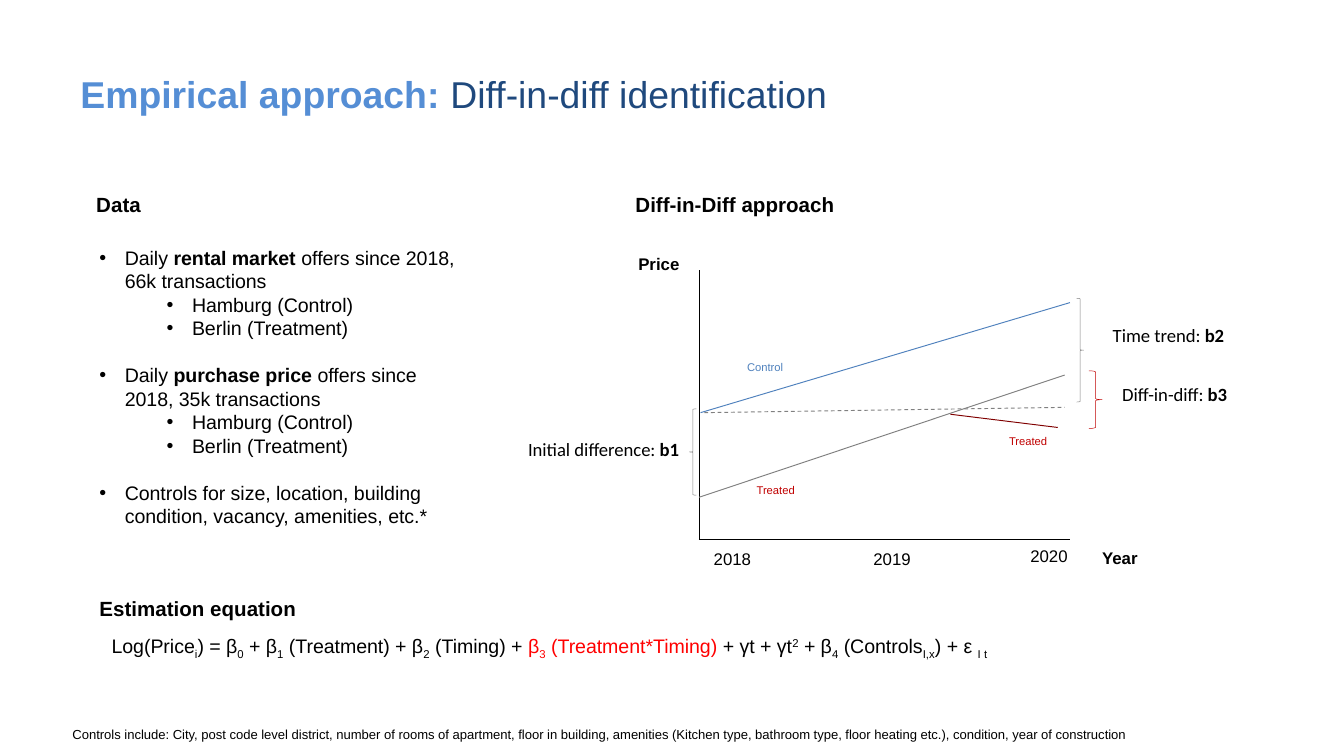
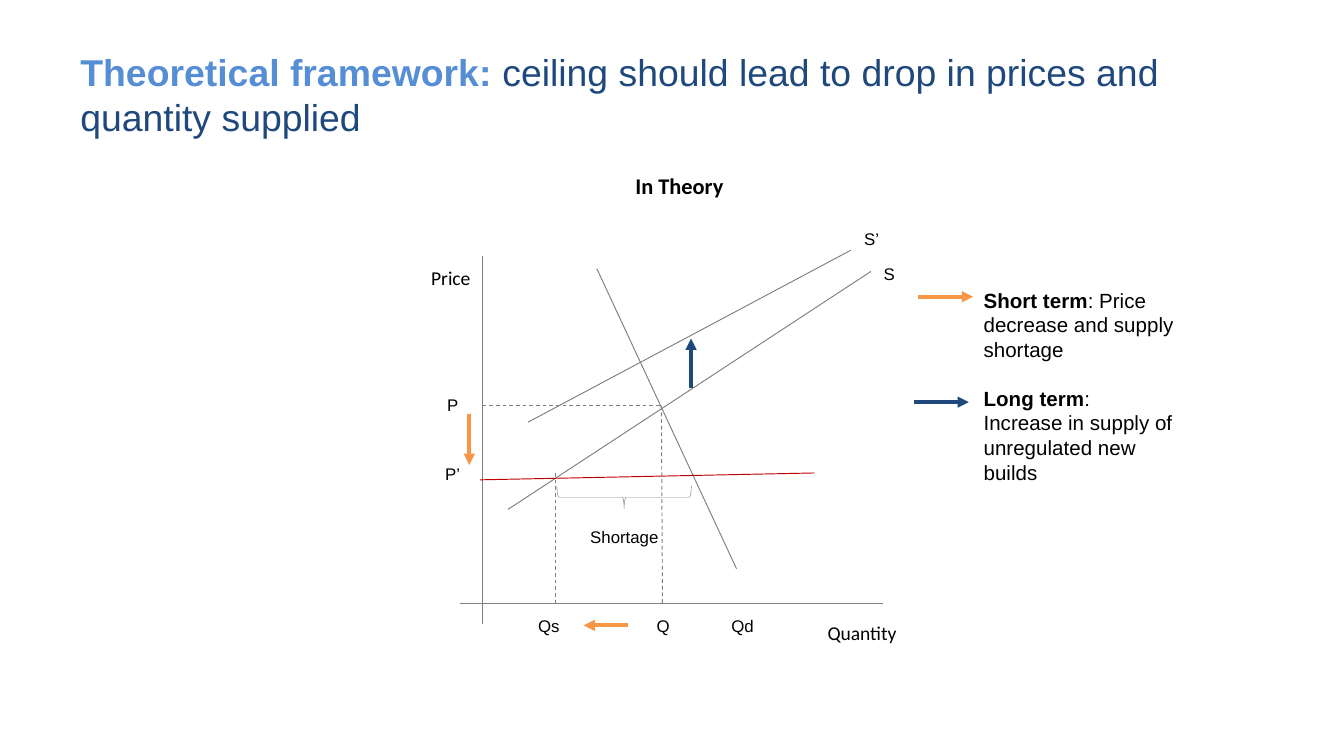
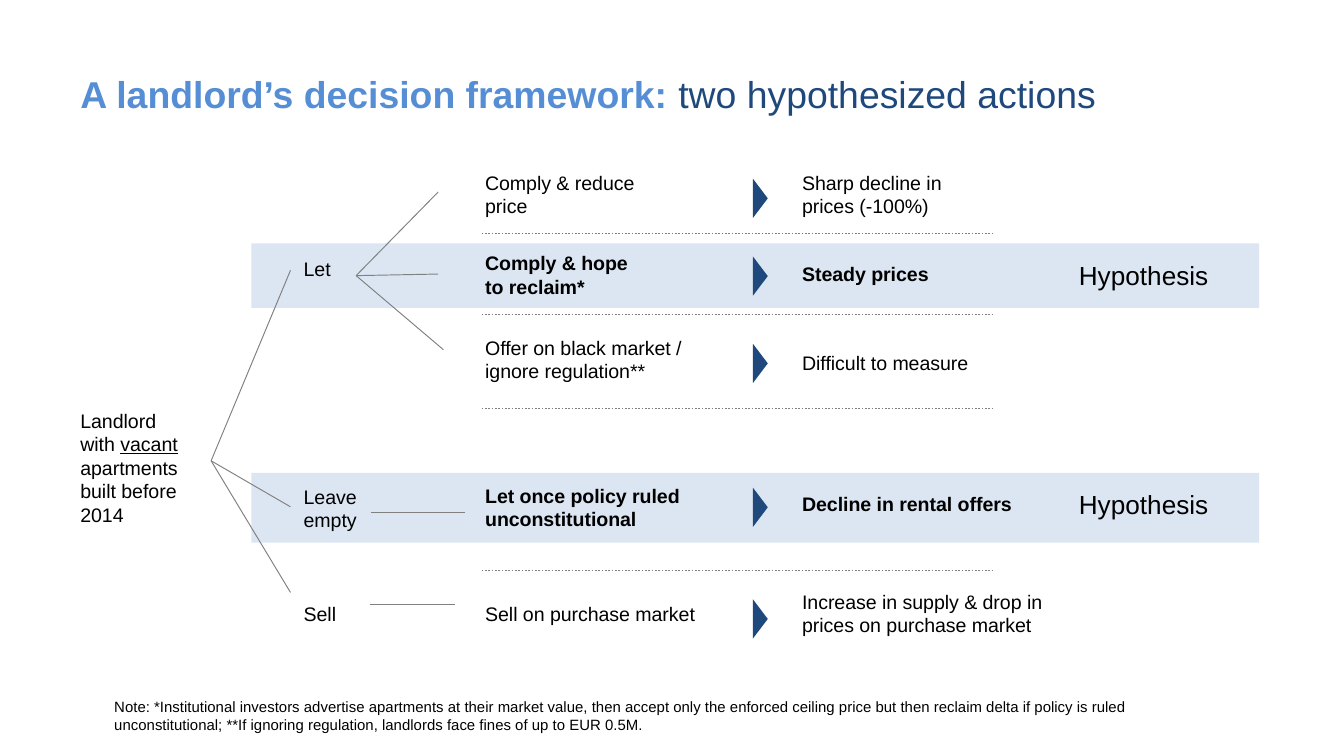
"""Builds three slides on a rent ceiling: estimation, theory and landlord choices."""
from lxml import etree
from pptx import Presentation
from pptx import util as u
from pptx.dml.color import RGBColor
from pptx.enum import dml, shapes, text
from pptx.oxml import ns

HUES = {"ink": "000000", "sky": "558ED5", "navy": "1F497D", "blue": "4F81BD",
        "grey": "808080", "wine": "800000", "red": "C00000", "hot": "FF0000",
        "gold": "F79646", "pale": "DCE6F2"}
SIDES = {"l": text.PP_ALIGN.LEFT, "c": text.PP_ALIGN.CENTER, "r": text.PP_ALIGN.RIGHT}
BASES = {"-": "-25000", "+": "30000"}
KIND = shapes.MSO_SHAPE


def hue(name):
    return RGBColor.from_string(HUES[name])


def mark(run, marks):
    font = run.font
    for sign in marks:
        if sign == "b":
            font.bold = True
        elif sign == "u":
            font.underline = True
        elif sign == "h":
            font.color.rgb = hue("hot")
        elif sign == "s":
            font.color.rgb = hue("sky")
        else:
            run._r.get_or_add_rPr().set("baseline", BASES[sign])


def say(slide, box, x, y, w, paras, size=10.5, h=0.7, tone="ink", face="Arial",
        bold=False, side="l", fit=True):
    area = slide.shapes.add_textbox(u.Cm(box[0] + x), u.Cm(box[1] + y), u.Cm(w), u.Cm(h))
    frame = area.text_frame
    frame.word_wrap = True
    if fit:
        frame.auto_size = text.MSO_AUTO_SIZE.SHAPE_TO_FIT_TEXT
    for i, runs in enumerate([paras] if isinstance(paras, str) else paras):
        para = frame.add_paragraph() if i else frame.paragraphs[0]
        para.alignment = SIDES[side]
        font = para.font
        font.size, font.name, font.bold = u.Pt(size), face, bold
        font.color.rgb = hue(tone)
        for item in [runs] if isinstance(runs, str) else runs:
            words, marks = (item, "") if isinstance(item, str) else item
            run = para.add_run()
            run.text = words
            mark(run, marks)
    return frame


def rule(slide, box, x1, y1, x2, y2, tone="grey", wide=0.5, dash=False, tip=False):
    x, y = box[:2]
    line = slide.shapes.add_connector(shapes.MSO_CONNECTOR.STRAIGHT, u.Cm(x + x1),
                                      u.Cm(y + y1), u.Cm(x + x2), u.Cm(y + y2))
    line.line.color.rgb = hue(tone)
    line.line.width = u.Pt(wide)
    if dash:
        line.line.dash_style = dml.MSO_LINE.DASH
    if tip:
        etree.SubElement(line.line._get_or_add_ln(), ns.qn("a:tailEnd"), type="triangle")
    etree.SubElement(line._element.spPr, ns.qn("a:effectLst"))


def arrow(slide, box, x1, y1, x2, y2, tone="gold"):
    rule(slide, box, x1, y1, x2, y2, tone, 2, tip=True)


def form(slide, box, kind, x, y, w, h, fill=None, tone=None, turn=0):
    item = slide.shapes.add_shape(kind, u.Cm(box[0] + x), u.Cm(box[1] + y), u.Cm(w), u.Cm(h))
    item.shadow.inherit = False
    item.rotation = turn
    if fill:
        item.fill.solid()
        item.fill.fore_color.rgb = hue(fill)
    else:
        item.fill.background()
    if tone:
        item.line.color.rgb = hue(tone)
        item.line.width = u.Pt(0.25)
    else:
        item.line.fill.background()


def head(slide, lead, rest, box=(1.27, 0.58, 22.86, 2.39)):
    frame = say(slide, box, 0, 0, box[2], [[(lead, "bs"), rest]], 20, box[3], "navy", fit=False)
    frame.vertical_anchor = text.MSO_ANCHOR.MIDDLE


def note(slide, box, words, size):
    say(slide, box, 0, 0, box[2], words, size, box[3])


def facts(slide, box):
    say(slide, box, 0, 0, 8.23, "Data", 11, bold=True)
    towns = ["Hamburg (Control)", "Berlin (Treatment)"]
    frame = say(slide, box, 0.06, 1.01, box[2], [
        ["Daily ", ("rental market ", "b"), "offers since 2018, 66k transactions"], *towns,
        ["Daily ", ("purchase price", "b"), " offers since 2018, 35k transactions"], *towns,
        "Controls for size, location, building condition, vacancy, amenities, etc.*"], h=6.1)
    for i, para in enumerate(frame.paragraphs):
        sub = para.text in towns
        prop = para._p.get_or_add_pPr()
        prop.set("marL", str(u.Cm(1.75 if sub else 0.48)))
        prop.set("indent", str(u.Cm(-0.48)))
        for tag, key, value in (("buChar", "char", "•"), ("buFont", "typeface", "Arial")):
            node = etree.Element(ns.qn("a:" + tag))
            node.set(key, value)
            prop.insert(0, node)
        if sub:
            para.level = 1
        elif i:
            para.space_before = u.Pt(12.6)


def model(slide, box):
    say(slide, box, 0, 0, 8.23, "Estimation equation", 11, bold=True)
    say(slide, box, 0.23, 0.71, box[2], [[
        "Log(Price", ("i", "-"), ") = β", ("0", "-"), " + β", ("1", "-"),
        " (Treatment) + β", ("2", "-"), " (Timing) + ", ("β", "h"), ("3", "h-"),
        (" (Treatment*Timing) ", "h"), "+ γt + γt", ("2", "+"), " + β", ("4", "-"),
        " (Controls", ("I,x", "-"), ") + ε ", ("I t", "-")]])


def trend(slide, box):
    w, h = box[2:]
    say(slide, box, -1.45, -1.6, 10.8, "Diff-in-Diff approach", 11, bold=True)
    for ends, tone in (((0, h, w, h), "ink"), ((0, h, 0, 0), "ink"),
                       ((0.03, 2.69, w, 0.61), "blue"), ((0, 4.29, 6.91, 1.98), "grey"),
                       ((4.75, 2.72, 6.78, 2.97), "wine")):
        rule(slide, box, *ends, tone)
    rule(slide, box, 0.1, 2.69, 6.91, 2.59, dash=True)
    for x, y, wide, words, side in ((-2.74, -0.43, 2.62, "Price", "r"),
                                    (0.03, 5.13, 2.62, "2018", "l"),
                                    (2.34, 5.13, 2.62, "2019", "c"),
                                    (5.94, 5.08, 1.35, "2020", "c"),
                                    (5.92, 5.11, 2.62, "Year", "r")):
        say(slide, box, x, y, wide, words, 9, bold=side == "r", side=side)
    for x, y, words, tone in ((0.66, 1.57, "Control", "blue"), (0.84, 3.91, "Treated", "red"),
                              (5.61, 2.97, "Treated", "red")):
        say(slide, box, x, y, 1.98, words, 6, 0.5, tone)
    for kind, x, y, wide, tall, tone in ((KIND.RIGHT_BRACE, 7.37, 1.9, 0.25, 1.09, "red"),
                                         (KIND.LEFT_BRACE, -0.18, 2.62, 0.13, 1.63, "grey"),
                                         (KIND.RIGHT_BRACE, 7.14, 0.53, 0.13, 1.96, "grey")):
        form(slide, box, kind, x, y, wide, tall, tone=tone)
    for x, y, words, term in ((-3.48, 3.05, "Initial difference: ", "b1"),
                              (7.57, 0.89, "Time trend: ", "b2"),
                              (7.75, 2.01, "Diff-in-diff: ", "b3")):
        say(slide, box, x, y, 3.78, [[words, (term, "b")]], 10, face="Calibri")


def market(slide, box):
    w, h = box[2:]
    say(slide, box, 0.48, -1.7, 6.58, "In Theory ", 12, face="Calibri", bold=True, side="c")
    for ends in ((0, 0, 0, 6.96), (w, h, -0.43, h), (0.48, 4.8, 7.34, 0.3),
                 (2.16, 0.25, 4.8, 5.92), (6.96, -0.1, 0.86, 3.15)):
        rule(slide, box, *ends)
    rule(slide, box, -0.05, 4.24, 6.27, 4.11, "red")
    for ends in ((3.38, 2.84, 3.4, h), (0, 2.84, 3.4, 2.84), (1.37, 4.11, 1.37, h)):
        rule(slide, box, *ends, dash=True)
    form(slide, box, KIND.RIGHT_BRACE, 2.46, 3.3, 0.43, 2.54, tone="grey", turn=90)
    arrow(slide, box, -0.25, 3, -0.25, 3.96)
    arrow(slide, box, 2.74, 6.99, 1.91, 6.99)
    arrow(slide, box, 3.94, 2.51, 3.94, 1.57, "navy")
    for x, y, words in ((0.58, 6.68, "Qs"), (2.74, 6.68, "Q"), (4.24, 6.68, "Qd"),
                        (-1.24, 3.81, "P’"), (-1.24, 2.51, "P"),
                        (6.68, -0.64, "S’"), (7.01, 0.03, "S")):
        say(slide, box, x, y, 1.35, words, 9, side="c")
    say(slide, box, 1.37, 5, 2.62, "Shortage", 9, side="c")
    for x, y, words in ((6.27, 6.78, "Quantity"), (-1.22, 0.08, "Price")):
        say(slide, box, x, y, 2.31, words, face="Calibri")


def terms(slide, box):
    arrow(slide, box, 0.08, 0.3, 1.12, 0.3)
    arrow(slide, box, 0, 2.29, 1.04, 2.29, "navy")
    frame = say(slide, box, 1.07, 0, 4.32, [
        [("Short term", "b"), ": Price decrease and supply shortage"],
        [("Long term", "b"), ":"], "Increase in supply of unregulated new builds"], 11, box[3])
    frame.paragraphs[1].space_before = u.Pt(13)


def band(slide, box):
    form(slide, box, KIND.RECTANGLE, 0, 0, *box[2:], fill="pale")
    say(slide, box, 15.39, 0.17, 3.23, "Hypothesis", 14, 0.86)


def tree(slide, box):
    say(slide, box, 0, 4.5, 2.54, [["Landlord with ", ("vacant ", "u"),
                                    "apartments built before 2014"]], h=2.49)
    frame = say(slide, box, 4.22, 1.63, 3.56, ["Let", "Leave", "empty", "Sell"], h=7.29)
    frame.paragraphs[1].space_before = u.Pt(109.5)
    frame.paragraphs[3].space_before = u.Pt(37.8)
    for y in (2.01, 6.48, 8.1):
        rule(slide, box, 2.72, 5.61, 4.22, y)
    for x, y in ((7.01, 0.53), (7.01, 2.08), (7.11, 3.51)):
        rule(slide, box, 5.46, 2.11, x, y)
    rule(slide, box, 5.74, 6.58, 7.52, 6.58)
    rule(slide, box, 5.72, 8.33, 7.32, 8.33)


def paths(slide, box):
    for y in (1.3, 2.84, 4.62, 7.67):
        rule(slide, box, 0.18, y, 9.86, y, wide=0.25, dash=True)
    rows = (
        (0, ["Comply & reduce price"], 0.51, 0, "Sharp decline in prices (-100%)", 3.89, False),
        (1.52, ["Comply & hope", "to reclaim*"], 1.98, 1.73, "Steady prices", 6.88, True),
        (3.12, ["Offer on black market /", "ignore regulation**"], 3.63, 3.4,
         "Difficult to measure", 6.88, False),
        (5.92, ["Let once policy ruled unconstitutional"], 6.35, 6.07,
         "Decline in rental offers", 6.88, True),
        (8.15, ["Sell on purchase market"], 8.46, 7.92,
         "Increase in supply & drop in prices on purchase market", 5.69, False))
    for top, act, mid, end, gain, wide, bold in rows:
        say(slide, box, 0, top, wide, act, bold=bold)
        form(slide, box, KIND.ISOSCELES_TRIANGLE, 5.08, mid, 0.74, 0.28, fill="navy", turn=90)
        say(slide, box, 5.99, end, wide, gain, bold=bold)


def main():
    deck = Presentation()
    deck.slide_width, deck.slide_height = u.Cm(25.4), u.Cm(14.29)
    first, second, third = [deck.slides.add_slide(deck.slide_layouts[6]) for _ in range(3)]

    head(first, "Empirical approach: ", "Diff-in-diff identification")
    facts(first, (1.57, 3.51, 7.49, 7.11))
    trend(first, (13.21, 5.11, 7.01, 5.08))
    model(first, (1.63, 11.15, 19.89, 1.42))
    note(first, (1.12, 13.61, 23.01, 0.56),
         "Controls include: City, post code level district, number of rooms of apartment, "
         "floor in building, amenities (Kitchen type, bathroom type, floor heating etc.), "
         "condition, year of construction", 7)

    head(second, "Theoretical framework: ",
         "ceiling should lead to drop in prices and quantity supplied")
    market(second, (9.12, 4.83, 7.57, 6.58))
    terms(second, (17.27, 5.31, 5.39, 4.01))

    band(third, (4.75, 4.6, 19.05, 1.22))
    band(third, (4.75, 8.94, 19.05, 1.32))
    head(third, "A landlord’s decision framework: ", "two hypothesized actions")
    tree(third, (1.27, 3.1, 7.52, 8.92))
    paths(third, (8.92, 3.1, 12.87, 9.06))
    note(third, (1.91, 13.06, 21.06, 0.94),
         "Note: *Institutional investors advertise apartments at their market value, then "
         "accept only the enforced ceiling price but then reclaim delta if policy is ruled "
         "unconstitutional; **If ignoring regulation, landlords face fines of up to EUR 0.5M.", 8)
    deck.save("out.pptx")


if __name__ == "__main__":
    main()
